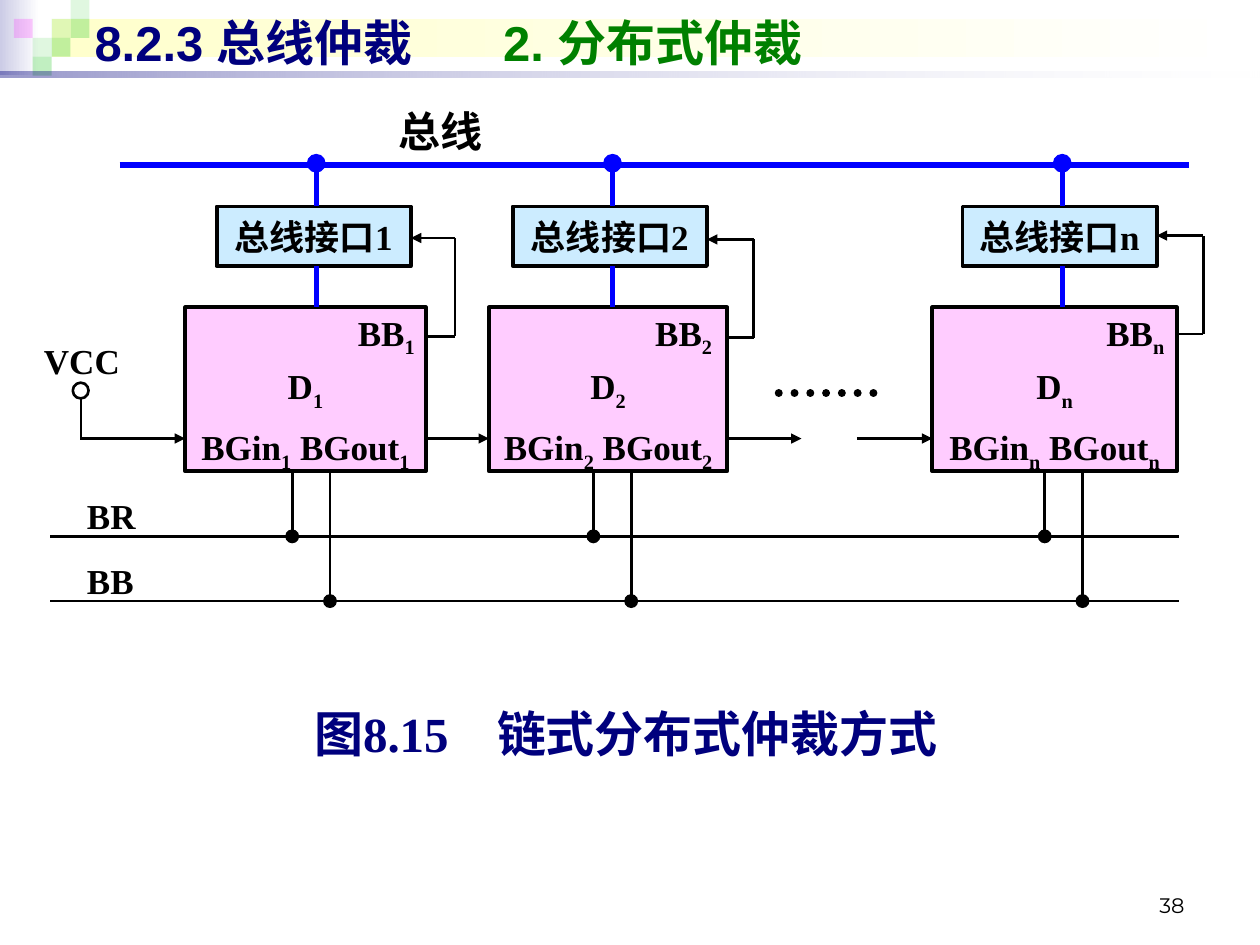
"""Build the slide on daisy-chained distributed bus arbitration."""
import dataclasses
import typing

import lxml.etree
import pptx
import pptx.dml.color
import pptx.enum.dml
import pptx.enum.shapes
import pptx.enum.text
import pptx.oxml.ns
import pptx.util

Pt = pptx.util.Pt
ALIGN = pptx.enum.text.PP_ALIGN
ANCHOR = pptx.enum.text.MSO_ANCHOR
SHAPE = pptx.enum.shapes.MSO_SHAPE
COLOURS = {
    "black": "000000", "white": "FFFFFF", "navy": "00007D", "green": "008000",
    "blue": "0000FF", "device": "FFCCFF", "interface": "CCECFF",
    "lavender": "CCCCE6", "cream": "FFFFCC", "leaf": "33CC33", "magenta": "FF00FF",
}
SERIF = "Times New Roman"
BUS_Y, INTERFACE_TOP, DEVICE_TOP, DEVICE_HEIGHT = 94.3, 118, 175.7, 93.6
DEVICE_BOTTOM = DEVICE_TOP + DEVICE_HEIGHT
INTERFACE_WIDTH, INTERFACE_HEIGHT = 111, 34
REQUEST_Y, BUSY_Y, CHAIN_Y = 306.5, 343.5, 250.6


class Run(typing.NamedTuple):
    text: str
    subscript: bool = False
    colour: str = ""


@dataclasses.dataclass
class Unit:
    name: str
    left: float
    width: float
    interface_left: float
    bus_x: float
    request_x: float
    label_left: float
    loop_x: float
    loop_y: float

    @property
    def right(self) -> float:
        return self.left + self.width


class Tile(typing.NamedTuple):
    column: int
    row: int
    colour: str
    opacity: int


UNITS = [
    Unit("1", 105.8, 137.5, 123.8, 180.7, 167, 204.5, 260, 136),
    Unit("2", 279.4, 136.1, 293, 350, 339.1, 374.4, 430.6, 136.8),
    Unit("n", 532.8, 139.7, 550, 607, 597, 632.2, 687.6, 134.6),
]
TILES = [
    Tile(2, 1, "leaf", 15), Tile(3, 0, "leaf", 15), Tile(3, 1, "leaf", 30),
    Tile(1, 2, "leaf", 15), Tile(0, 1, "magenta", 20), Tile(2, 2, "leaf", 30),
    Tile(1, 3, "leaf", 30),
]


def rgb(name: str):
    return pptx.dml.color.RGBColor.from_string(COLOURS[name])


def set_opacity(fill_element, percents: list[int]) -> None:
    for colour, percent in zip(fill_element.iter(pptx.oxml.ns.qn("a:srgbClr")), percents):
        lxml.etree.SubElement(colour, pptx.oxml.ns.qn("a:alpha"), val=str(percent * 1000))


def write_text(shape, paragraphs: list[list[Run]], *, size: float = 20, font: str = SERIF,
               colour: str = "black", bold: bool = True, align=ALIGN.CENTER,
               anchor=ANCHOR.MIDDLE, insets=(0, 0, 0, 0), wrap: bool = True,
               gap: float = 0, line_spacing: float = 1.0, tab: float = 0) -> None:
    frame = shape.text_frame
    frame.word_wrap = wrap
    frame.auto_size = pptx.enum.text.MSO_AUTO_SIZE.NONE
    frame.vertical_anchor = anchor
    frame.margin_left, frame.margin_top, frame.margin_right, frame.margin_bottom = map(Pt, insets)
    for index, runs in enumerate(paragraphs):
        paragraph = frame.add_paragraph() if index else frame.paragraphs[0]
        if tab:
            tabs = lxml.etree.SubElement(paragraph._p.get_or_add_pPr(), pptx.oxml.ns.qn("a:tabLst"))
            lxml.etree.SubElement(tabs, pptx.oxml.ns.qn("a:tab"), pos=str(Pt(tab)), algn="l")
        paragraph.alignment = align
        paragraph.line_spacing = line_spacing
        paragraph.space_before = Pt(gap if index else 0)
        for item in runs:
            run = paragraph.add_run()
            run.text = item.text
            run.font.size, run.font.name, run.font.bold = Pt(size), font, bold
            run.font.color.rgb = rgb(item.colour or colour)
            if item.subscript:
                run._r.get_or_add_rPr().set("baseline", "-25000")


def add_label(slide, left: float, top: float, width: float, height: float,
              runs: list[Run], **text_format) -> None:
    box = slide.shapes.add_textbox(Pt(left), Pt(top), Pt(width), Pt(height))
    write_text(box, [runs], **text_format)


def add_box(slide, left: float, top: float, width: float, height: float, *,
            fill: str = "", line: str = "", weight: float = 0.75, kind=SHAPE.RECTANGLE):
    shape = slide.shapes.add_shape(kind, Pt(left), Pt(top), Pt(width), Pt(height))
    shape.shadow.inherit = False
    if fill:
        shape.fill.solid()
        shape.fill.fore_color.rgb = rgb(fill)
    if line:
        shape.line.color.rgb = rgb(line)
        shape.line.width = Pt(weight)
    else:
        shape.line.fill.background()
    return shape


def add_dot(slide, x: float, y: float, diameter: float, *, fill: str = "black",
            line: str = "black", weight: float = 0.75) -> None:
    add_box(slide, x - diameter / 2, y - diameter / 2, diameter, diameter, fill=fill,
            line=line, weight=weight, kind=SHAPE.FLOWCHART_CONNECTOR)


def add_wire(slide, x1: float, y1: float, x2: float, y2: float, *, colour: str = "black",
             weight: float = 1.5, arrow: bool = False, dotted: bool = False) -> None:
    wire = slide.shapes.add_connector(pptx.enum.shapes.MSO_CONNECTOR.STRAIGHT,
                                      Pt(x1), Pt(y1), Pt(x2), Pt(y2))
    wire.line.color.rgb = rgb(colour)
    wire.line.width = Pt(weight)
    outline = wire.line._get_or_add_ln()
    if dotted:
        wire.line.dash_style = pptx.enum.dml.MSO_LINE.ROUND_DOT
        outline.set("cap", "rnd")
    if arrow:
        lxml.etree.SubElement(outline, pptx.oxml.ns.qn("a:tailEnd"), type="triangle")
    lxml.etree.SubElement(wire._element.spPr, pptx.oxml.ns.qn("a:effectLst"))


def add_gradient(slide, left: float, top: float, width: float, height: float,
                 start: str, end: str, opacity: tuple[int, int] = (100, 100)) -> None:
    band = add_box(slide, left, top, width, height)
    band.fill.gradient()
    band.fill.gradient_angle = 0
    for stop, colour in zip(band.fill.gradient_stops, (start, end)):
        stop.color.rgb = rgb(colour)
    set_opacity(band._element.spPr, list(opacity))


def draw_header(slide) -> None:
    add_gradient(slide, 0, 0, 22.5, 43, "lavender", "white")
    add_gradient(slide, 29.5, 10.8, 687.6, 21.6, "cream", "white")
    for tile in TILES:
        shape = add_box(slide, 7.9 + 10.8 * tile.column, 10.8 * tile.row, 10.8, 10.8,
                        fill=tile.colour)
        set_opacity(shape._element.spPr, [tile.opacity])
    add_gradient(slide, 0, 41, 720, 3.6, "navy", "white", (40, 10))
    title = slide.shapes.title
    title._element.getparent().append(title._element)
    title.left, title.top, title.width, title.height = Pt(46.8), Pt(3.6), Pt(648), Pt(41)
    write_text(title, [[Run("8.2.3 总线仲裁\t"), Run("2. 分布式仲裁", colour="green")]],
               size=28, font="Arial", colour="navy", align=ALIGN.LEFT,
               insets=(7.2, 3.6, 7.2, 3.6), tab=233.5)


def draw_unit(slide, unit: Unit) -> None:
    subscript = Run(unit.name, True)
    device = add_box(slide, unit.left, DEVICE_TOP, unit.width, DEVICE_HEIGHT,
                     fill="device", line="black", weight=2.25)
    write_text(device, [[Run("D"), subscript],
                        [Run("BGin"), subscript, Run(" BGout"), subscript]],
               anchor=ANCHOR.TOP, insets=(0, 32.8, 0, 0), gap=7.5)
    interface = add_box(slide, unit.interface_left, INTERFACE_TOP, INTERFACE_WIDTH,
                        INTERFACE_HEIGHT, fill="interface", line="black", weight=2.25)
    write_text(interface, [[Run("总线接口" + unit.name)]])
    for top, bottom in ((BUS_Y, INTERFACE_TOP), (INTERFACE_TOP + INTERFACE_HEIGHT, DEVICE_TOP)):
        add_wire(slide, unit.bus_x, top, unit.bus_x, bottom, colour="blue", weight=3)
    add_dot(slide, unit.bus_x, BUS_Y - 1, 10, fill="blue", line="blue")
    for x, y in ((unit.request_x, REQUEST_Y), (unit.request_x + 21.6, BUSY_Y)):
        add_wire(slide, x, DEVICE_BOTTOM, x, y)
        add_dot(slide, x, y, 7.2)
    loop_bottom = unit.loop_y + 56.2
    add_wire(slide, unit.right, loop_bottom, unit.loop_x, loop_bottom)
    add_wire(slide, unit.loop_x, loop_bottom, unit.loop_x, unit.loop_y)
    add_wire(slide, unit.loop_x, unit.loop_y, unit.interface_left + INTERFACE_WIDTH,
             unit.loop_y, arrow=True)
    add_label(slide, unit.label_left, 182, 36, 21.6, [Run("BB"), subscript],
              align=ALIGN.LEFT, anchor=ANCHOR.TOP, wrap=False, line_spacing=0.72)


def main() -> None:
    presentation = pptx.Presentation()
    presentation.slide_width, presentation.slide_height = Pt(720), Pt(540)
    slide = presentation.slides.add_slide(presentation.slide_layouts[5])
    draw_header(slide)
    add_wire(slide, 68.4, BUS_Y, 679.7, BUS_Y, colour="blue", weight=3)
    add_label(slide, 212.4, 60.5, 79.2, 28, [Run("总线")], size=24)
    for name, y in (("BR", REQUEST_Y), ("BB", BUSY_Y)):
        add_wire(slide, 28.8, y, 673.9, y)
        add_label(slide, 49.7, y - 37.3, 43.2, 37.3, [Run(name)], align=ALIGN.LEFT,
                  anchor=ANCHOR.BOTTOM)
    for unit in UNITS:
        draw_unit(slide, unit)
    first, second, last = UNITS
    for start, end in ((46, first.left), (first.right, second.left),
                       (second.right, 458), (489.6, last.left)):
        add_wire(slide, start, CHAIN_Y, end, CHAIN_Y, arrow=True)
    add_wire(slide, 445, 224.6, 507.6, 224.6, weight=4.5, dotted=True)
    add_label(slide, 18.7, 180.7, 56.2, 37.4, [Run("VCC")], anchor=ANCHOR.BOTTOM)
    add_wire(slide, 46.4, CHAIN_Y, 46.4, 227.5)
    add_dot(slide, 46.1, 223.2, 9, fill="white", weight=1.5)
    add_label(slide, 155.5, 400.3, 402.5, 37.4, [Run("图8.15\t链式分布式仲裁方式")], size=28,
              colour="navy", align=ALIGN.LEFT, insets=(24, 0, 0, 0), tab=104.5)
    add_label(slide, 516.2, 491.8, 167.8, 36, [Run("38")], size=12, font="Montserrat",
              bold=False, align=ALIGN.RIGHT, anchor=ANCHOR.BOTTOM, insets=(7.2, 3.6, 7.2, 3.6))
    presentation.save("out.pptx")


if __name__ == "__main__":
    main()
